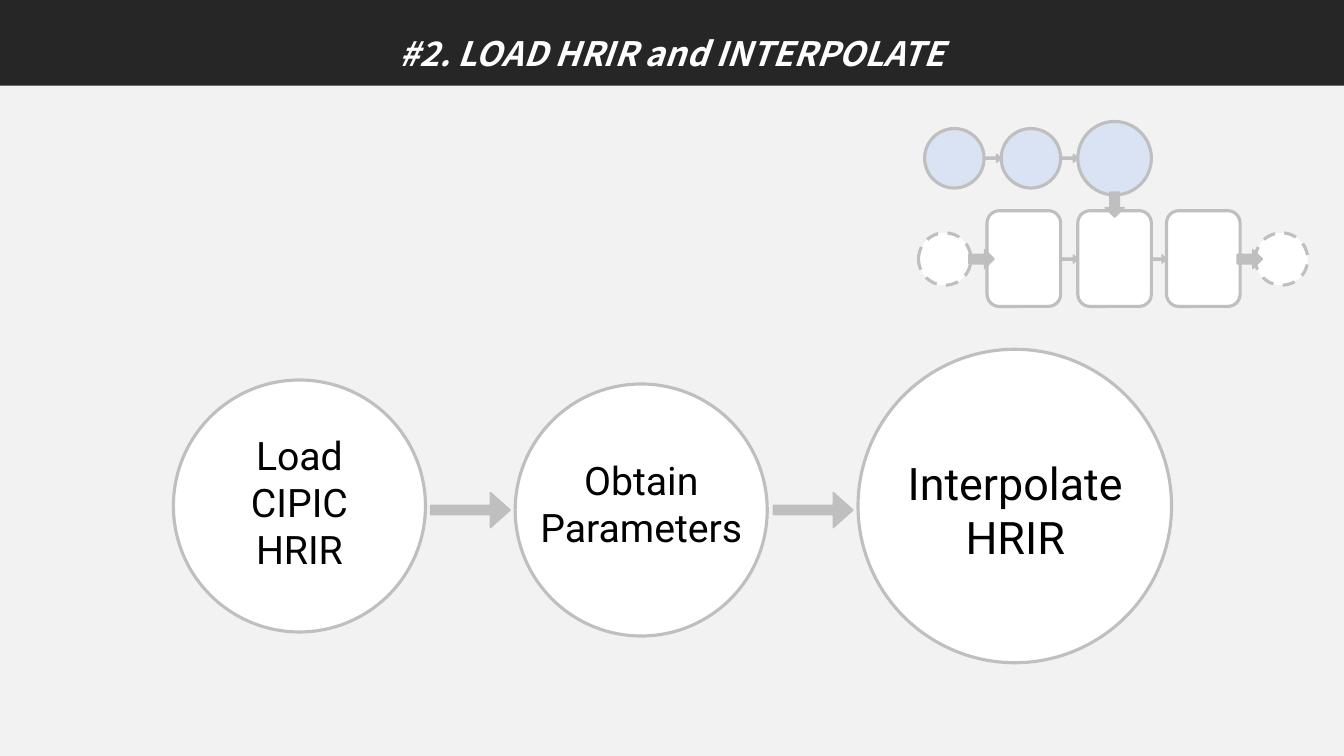
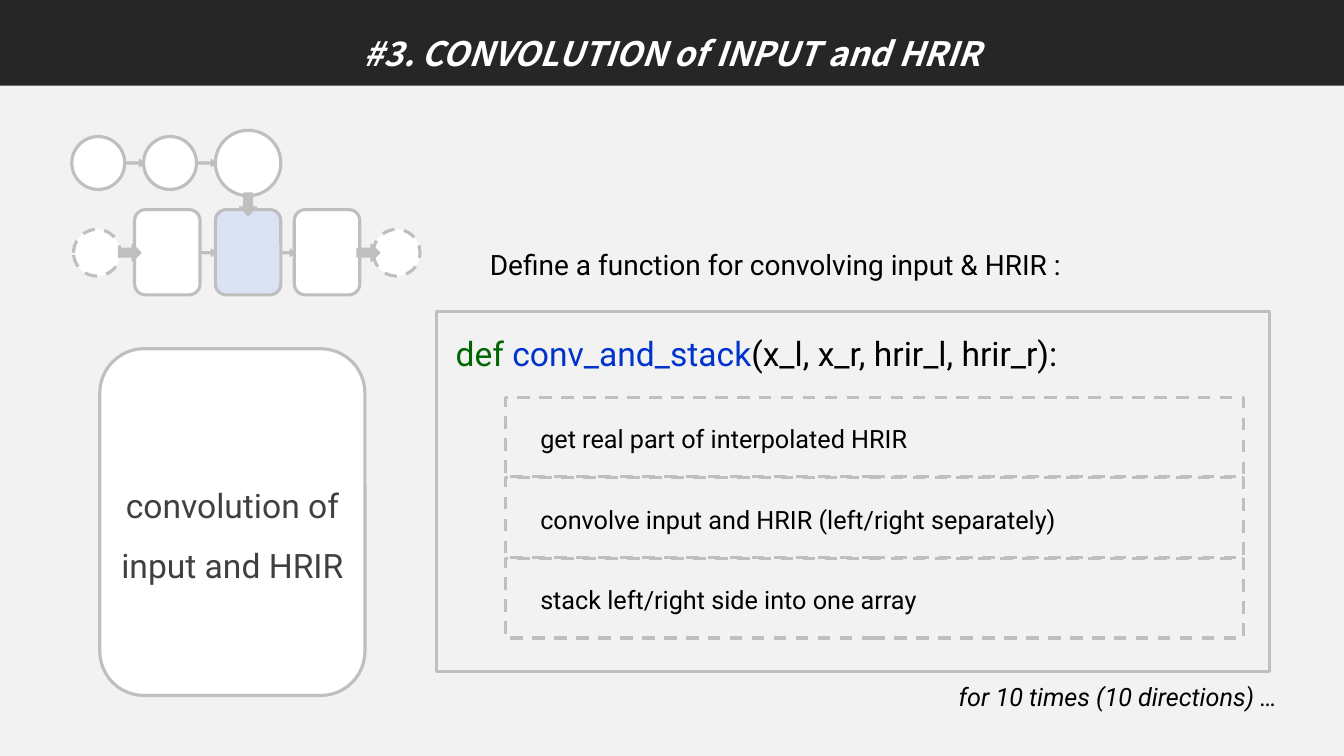
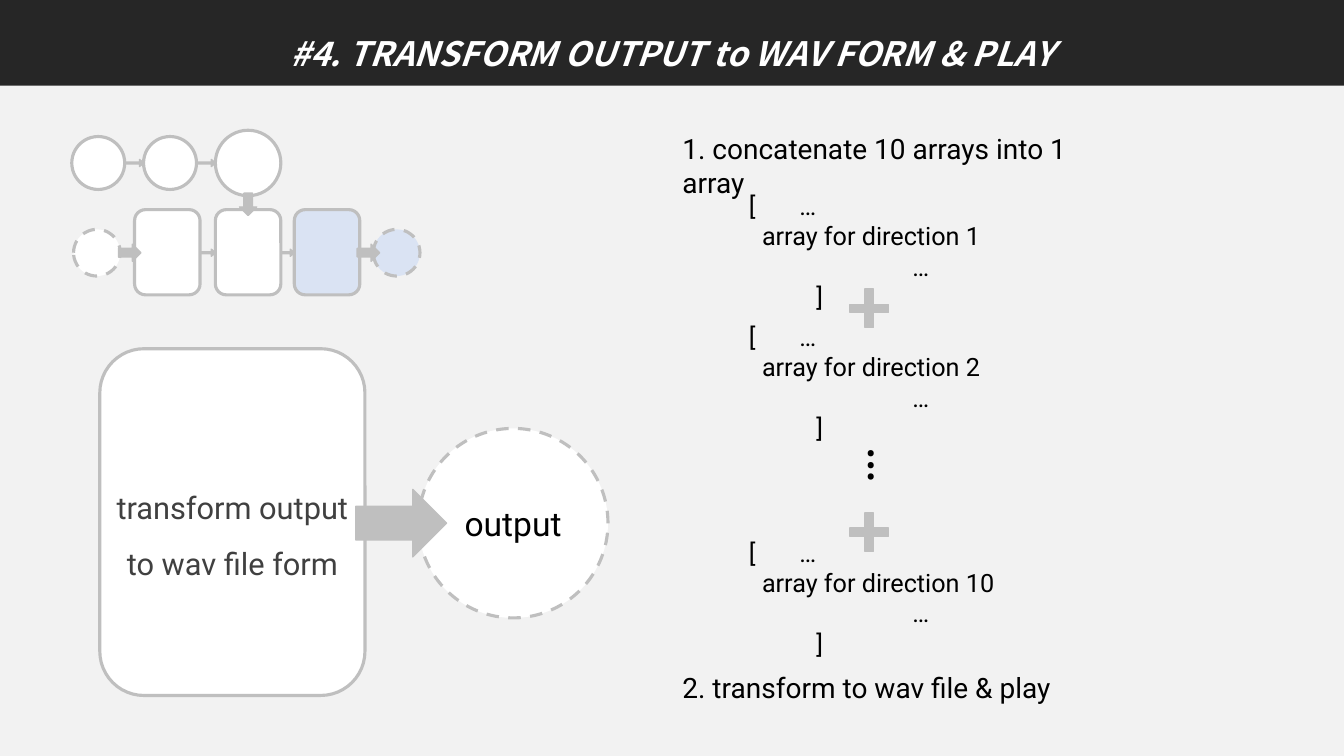
import pptx
import pptx.util
import pptx.dml.color
import pptx.enum.dml
import pptx.enum.shapes
import pptx.enum.text
import pptx.oxml
import pptx.oxml.ns
from lxml import etree

RGB = pptx.dml.color.RGBColor
KIND = pptx.enum.shapes.MSO_SHAPE
ALIGN = pptx.enum.text.PP_ALIGN

PAPER = RGB(0xF2, 0xF2, 0xF2)
BAND = RGB(0x26, 0x26, 0x26)
WHITE = RGB(0xFF, 0xFF, 0xFF)
BLACK = RGB(0, 0, 0)
SOFT = RGB(0x40, 0x40, 0x40)
GREY = RGB(0xBF, 0xBF, 0xBF)
BLUE = RGB(0xDA, 0xE3, 0xF3)
WORD = RGB(0, 0x66, 0)
NAME = RGB(0, 0x33, 0xCC)

# The slide is a grid of square cells, COLS wide and ROWS high
COLS, ROWS = 13.33, 7.5
CELL = pptx.util.Inches(1)
THIN = (0.26, 0.56)


def grid(*cells):
    return [round(n * CELL) for n in cells]


# Text
def write(frame, paras, size=18, color=BLACK, font="Roboto", align=ALIGN.LEFT,
          bold=False, italic=False, space=None):
    """Each paragraph is a string or a list of (string, colour) runs."""
    frame.word_wrap = True
    for i, runs in enumerate(paras):
        para = frame.paragraphs[0] if i == 0 else frame.add_paragraph()
        para.alignment = align
        if space:
            para.line_spacing = space
        for text, tint in [(runs, color)] if isinstance(runs, str) else runs:
            run = para.add_run()
            run.text = text
            run.font.name, run.font.size = font, pptx.util.Pt(size)
            run.font.bold, run.font.italic = bold, italic
            run.font.color.rgb = tint


def label(slide, x, y, w, h, *paras, **style):
    box = slide.shapes.add_textbox(*grid(x, y, w, h))
    write(box.text_frame, paras, **style)
    return box


# Shapes
def shape(slide, kind, x, y, w, h, fill=WHITE, line=2.25, dash=False):
    item = slide.shapes.add_shape(kind, *grid(x, y, w, h))
    item.shadow.inherit = False
    if fill is None:
        item.fill.background()
    else:
        item.fill.solid()
        item.fill.fore_color.rgb = fill
    if line:
        item.line.color.rgb = GREY
        item.line.width = pptx.util.Pt(line)
    else:
        item.line.fill.background()
    if dash:
        item.line.dash_style = pptx.enum.dml.MSO_LINE.DASH
    return item


def disc(slide, x, mid, size, **style):
    return shape(slide, KIND.OVAL, x, mid - size / 2, size, size, **style)


def arrow(slide, x, mid, w, h, thin=False, turn=0):
    item = shape(slide, KIND.RIGHT_ARROW, x, mid - h / 2, w, h, GREY, 1)
    item.rotation = turn
    if thin:
        item.adjustments[0], item.adjustments[1] = THIN


def plus(slide, x, y):
    item = shape(slide, KIND.MATH_PLUS, x, y, 0.52, 0.52, GREY, 1)
    item.adjustments[0] = 0.16


# Shared slide frame
def start(deck, title):
    slide = deck.slides.add_slide(deck.slide_layouts[6])
    slide.background.fill.solid()
    slide.background.fill.fore_color.rgb = PAPER
    band = shape(slide, KIND.RECTANGLE, 0, 0, COLS, 0.85, BAND, None)
    band.text_frame.vertical_anchor = pptx.enum.text.MSO_ANCHOR.MIDDLE
    write(band.text_frame, [title], size=24, color=WHITE, align=ALIGN.CENTER,
          font="Noto Sans CJK KR", bold=True, italic=True, space=1.5)
    return slide


# Overview map: a row of steps feeding a row of boxes
def draw_map(slide, left, top, lit, scale=1, step=0.76):
    def px(n):
        return left + n * scale

    def py(n):
        return top + n * scale

    def tint(name):
        return BLUE if name in lit else WHITE

    boxes = (0.68, 1.58, 2.46)
    steps = [boxes[1] - n * step for n in (2, 1, 0)]
    high, low = py(-0.52), py(0.48)
    for ends, mid in ((steps, high), (boxes, low)):
        for end in ends[1:]:
            arrow(slide, px(end - 0.25), mid, 0.25 * scale, 0.08 * scale, thin=True)
    for x, size in zip(steps, (0.59, 0.59, 0.73)):
        disc(slide, px(x), high, size * scale, fill=tint("steps"))
    for i, x in enumerate(boxes):
        shape(slide, KIND.ROUNDED_RECTANGLE, px(x), top, 0.73 * scale,
              0.95 * scale, fill=tint(i))
    for name, x in (("in", 0), ("out", 3.34)):
        disc(slide, px(x), low, 0.52 * scale, fill=tint(name), dash=True)
    for x, mid, turn in ((0.5, low, 0), (3.16, low, 0), (1.82, py(-0.06), 90)):
        arrow(slide, px(x), mid, 0.25 * scale, 0.19 * scale, turn=turn)


def side_map(slide, *lit):
    draw_map(slide, 0.73, 2.08, lit, scale=0.89, step=0.8)


def card(slide, y, text, size):
    shape(slide, KIND.ROUNDED_RECTANGLE, 0.99, 3.46, 2.63, 3.44)
    label(slide, 0.99, y, 2.63, 1.25, text, size=size, color=SOFT,
          align=ALIGN.CENTER, space=1.5)


# Array sketch: brackets and dots set by indents and a tab stop
def array(slide, y, number):
    box = label(slide, 7.33, y, 2.66, 1.01, "[\t…",
                f"array for direction {number}", "…", "]")
    for para, indent in zip(box.text_frame.paragraphs, (0, 0.13, 1.62, 0.67)):
        props = para._p.get_or_add_pPr()
        props.set("marL", str(grid(indent)[0]))
        props.set("indent", "0")
    first = box.text_frame.paragraphs[0]._p.get_or_add_pPr()
    tabs = etree.SubElement(first, pptx.oxml.ns.qn("a:tabLst"))
    etree.SubElement(tabs, pptx.oxml.ns.qn("a:tab"),
                     pos=str(grid(1.55)[0]), algn="l")


# Slides
def load(deck):
    slide = start(deck, "#2. LOAD HRIR and INTERPOLATE")
    draw_map(slide, 9.11, 2.09, ("steps",))
    for x, mid, size in ((1.72, 5.02, 2.5), (5.11, 5.06, 2.5), (8.51, 5.02, 3.11)):
        disc(slide, x, mid, size)
    for x in (4.27, 7.67):
        arrow(slide, x, 5.06, 0.79, 0.35, thin=True)
    mid = ALIGN.CENTER
    label(slide, 2.01, 4.23, 1.92, 1.57, "Load", "CIPIC HRIR", size=28, align=mid)
    label(slide, 5.15, 4.48, 2.42, 1.04, "Obtain Parameters", size=28, align=mid)
    label(slide, 8.53, 4.47, 3.08, 1.18, "Interpolate", "HRIR", size=32, align=mid)


def convolve(deck):
    slide = start(deck, "#3. CONVOLUTION of INPUT and HRIR")
    side_map(slide, 1)
    card(slide, 4.56, "convolution of input and HRIR", 24)
    label(slide, 4.76, 2.41, 6.93, 0.44,
          "Define a function for convolving input & HRIR :", size=20)
    # Function body
    shape(slide, KIND.RECTANGLE, 4.33, 3.09, 8.26, 3.57, fill=None)
    label(slide, 4.42, 3.25, 6.39, 0.5,
          [("def ", WORD), ("conv_and_stack", NAME),
           ("(x_l, x_r, hrir_l, hrir_r):", BLACK)], size=24)
    for i, text in enumerate(("get real part of interpolated HRIR",
                              "convolve input and HRIR (left/right separately)",
                              "stack left/right side into one array")):
        y = 3.94 + 0.8 * i
        shape(slide, KIND.RECTANGLE, 5.01, y, 7.32, 0.79, fill=None, dash=True)
        label(slide, 5.26, y + 0.21, 7.32, 0.4, text)
    label(slide, 9.41, 6.71, 3.41, 0.4, "for 10 times (10 directions) …",
          italic=True)


def play(deck):
    slide = start(deck, "#4. TRANSFORM OUTPUT to WAV FORM & PLAY")
    side_map(slide, 2, "out")
    card(slide, 4.62, "transform output to wav file form", 22)
    disc(slide, 4.15, 5.19, 1.88, dash=True)
    arrow(slide, 3.53, 5.19, 0.9, 0.67)
    label(slide, 4.46, 4.94, 1.26, 0.5, "output", size=24, align=ALIGN.CENTER)
    # Joining the arrays
    for y, text in ((1.26, "1. concatenate 10 arrays into 1 array"),
                    (6.6, "2. transform to wav file & play")):
        label(slide, 6.67, y, 4.56, 0.44, text, size=20)
    for y, number in ((1.84, 1), (3.14, 2), (5.28, 10)):
        array(slide, y, number)
    for y in (2.8, 5.02):
        plus(slide, 8.36, y)
    dots = label(slide, 8.51, 4.23, 0.64, 0.77, "…", size=40, align=ALIGN.CENTER)
    dots.rotation = 90


def main():
    deck = pptx.Presentation()
    deck.slide_width, deck.slide_height = grid(COLS, ROWS)
    for build in (load, convolve, play):
        build(deck)
    deck.save("out.pptx")


if __name__ == "__main__":
    main()
